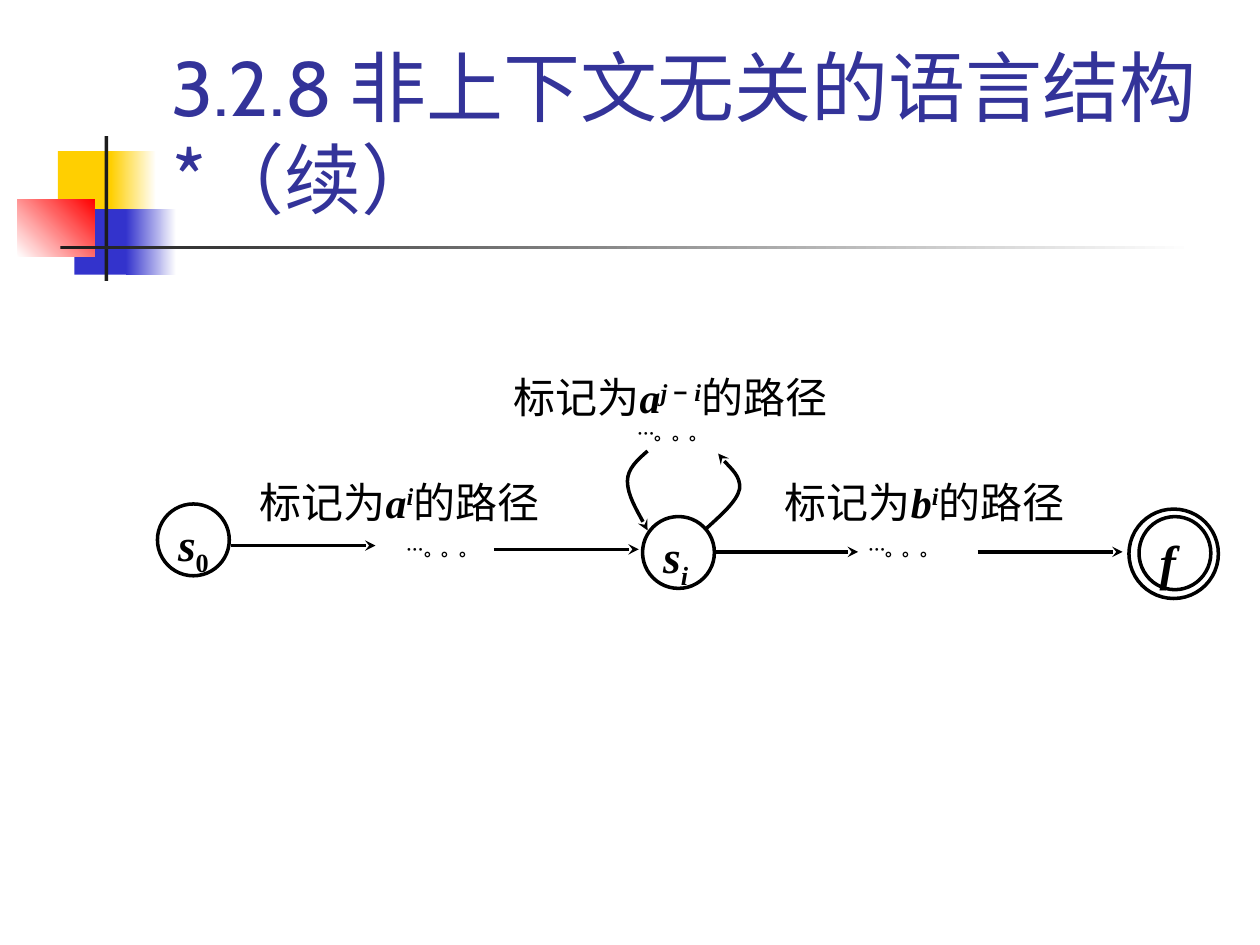
"""Slide: a pumped path through an automaton, s0 to si to f."""
from lxml.etree import SubElement
from pptx import Presentation
from pptx.dml.color import RGBColor
from pptx.enum.shapes import MSO_CONNECTOR, MSO_SHAPE
from pptx.enum.text import MSO_ANCHOR, PP_ALIGN
from pptx.oxml.ns import qn
from pptx.util import Inches, Pt

BLACK = RGBColor(0x00, 0x00, 0x00)
WHITE = RGBColor(0xFF, 0xFF, 0xFF)
YELLOW = RGBColor(0xFF, 0xCF, 0x01)
BLUE = RGBColor(0x33, 0x33, 0xCC)
RED = RGBColor(0xFF, 0x00, 0x00)
DARK = RGBColor(0x1C, 0x1C, 0x1C)
NAVY = RGBColor(0x33, 0x33, 0x99)
SERIF, SANS, CJK, SYMBOL = "Times New Roman", "Cabin", "Noto Sans CJK SC", "Arial"

DECOR = [
    ((0.46, 1.2, 0.48, 0.52), (YELLOW,), 0),
    ((0.88, 1.2, 0.36, 0.52), (YELLOW, WHITE), 0),
    ((0.59, 1.66, 0.46, 0.52), (BLUE,), 0),
    ((1, 1.66, 0.4, 0.52), (BLUE, WHITE), 0),
    ((0.14, 1.58, 0.61, 0.46), (WHITE, RED), 45),
    ((0.83, 1.08, 0.03, 1.15), (DARK,), 0),
    ((0.48, 1.95, 9, 0.03), (DARK, WHITE), 0),
]
TITLE = [("3.2.8 ", SANS), ("非上下文无关的语言结构*（续）", CJK)]

PLAIN, VAR, SUP, SUB = {}, {"b": 1, "i": 1}, {"b": 1, "i": 1, "base": 30}, {"b": 1, "i": 1, "base": -25}
SUB_DIGIT = {"b": 1, "base": -25}
SUP_SIGN = {"b": 1, "base": 30, "font": SYMBOL}
STATE_INSETS, FINAL_INSETS = (0.08, 0.01, 0.02, 0.05), (0.08, 0.03, 0.02, 0.02)
LABEL_INSETS = (0.06, 0.03, 0.06, 0.03)
STATES = [
    ((1.25, 4, 0.57, 0.57), [("s", VAR), ("0", SUB_DIGIT)], 25.9, STATE_INSETS),
    ((5.1, 4.1, 0.57, 0.57), [("s", VAR), ("i", SUB)], 25.9, STATE_INSETS),
    ((8.96, 4.04, 0.71, 0.71), [], 28, FINAL_INSETS),
    ((9.04, 4.1, 0.57, 0.58), [("f", VAR)], 28, FINAL_INSETS),
]
PATH_LABELS = [
    ((2, 3.75, 2.52, 0.54), [("a", VAR), ("i", SUP)], PP_ALIGN.JUSTIFY),
    ((6.17, 3.75, 2.56, 0.54), [("b", VAR), ("i", SUP)], PP_ALIGN.JUSTIFY),
    ((3.92, 2.92, 2.8, 0.55), [("a", VAR), ("j ", SUP), ("− ", SUP_SIGN), ("i", SUP)], PP_ALIGN.CENTER),
]
ELLIPSES = [(3.17, 4.25), (5, 3.33), (6.83, 4.25)]
ARROWS = [(1.83, 4.33), (3.92, 4.36), (5.66, 4.38), (7.76, 4.38)]
ARROW_LENGTH = 1.15
LOOPS = [
    [(5.14, 3.58), (5.06, 3.65), (4.98, 3.72), (4.98, 3.82), (4.98, 3.93), (5.11, 4.15), (5.14, 4.21)],
    [(5.6, 4.2), (5.72, 4.09), (5.85, 3.98), (5.87, 3.88), (5.88, 3.78), (5.74, 3.66), (5.7, 3.6)],
]


def inches(values):
    return [Inches(v) for v in values]


def outline(sp, arrow=False):
    sp.line.color.rgb = BLACK
    sp.line.width = Pt(2)
    if arrow:
        SubElement(sp.line._get_or_add_ln(), qn("a:tailEnd"), type="stealth")


def write(sp, runs, size, insets, align=PP_ALIGN.LEFT):
    tf = sp.text_frame
    tf.word_wrap = True
    tf.vertical_anchor = MSO_ANCHOR.TOP
    tf.margin_left, tf.margin_top, tf.margin_right, tf.margin_bottom = inches(insets)
    p = tf.paragraphs[0]
    p.alignment = align
    p.font.size = Pt(size)
    p.font.color.rgb = BLACK
    for text, style in runs:
        r = p.add_run()
        r.text = text
        r.font.name = style.get("font", SERIF)
        r.font.size = Pt(size)
        r.font.color.rgb = BLACK
        r.font.bold = bool(style.get("b"))
        r.font.italic = bool(style.get("i"))
        if "base" in style:
            r.font._element.set("baseline", str(style["base"] * 1000))


def add_decor(s):
    for box, colors, angle in DECOR:
        sp = s.shapes.add_shape(MSO_SHAPE.RECTANGLE, *inches(box))
        sp.shadow.inherit = False
        sp.line.fill.background()
        if len(colors) == 1:
            sp.fill.solid()
            sp.fill.fore_color.rgb = colors[0]
        else:
            sp.fill.gradient()
            sp.fill.gradient_angle = angle
            for stop, color in zip(sp.fill.gradient_stops, colors):
                stop.color.rgb = color


def add_title(s):
    tf = s.shapes.add_textbox(*inches((1.26, 0.23, 8.52, 1.6))).text_frame
    tf.word_wrap = True
    tf.vertical_anchor = MSO_ANCHOR.BOTTOM
    p = tf.paragraphs[0]
    for text, font in TITLE:
        r = p.add_run()
        r.text = text
        r.font.size = Pt(44)
        r.font.color.rgb = NAVY
        r.font.name = font
        SubElement(r.font._element, qn("a:ea"), typeface=CJK)


def add_loop(s, points):
    start, *rest = [inches(point) for point in points]
    builder = s.shapes.build_freeform(*start)
    builder.add_line_segments(rest, close=False)
    sp = builder.convert_to_shape()
    curve = next(sp._element.iter(qn("a:path")))
    segments = curve.findall(qn("a:lnTo"))
    for i in range(0, len(segments), 3):
        bezier = SubElement(curve, qn("a:cubicBezTo"))
        for segment in segments[i:i + 3]:
            bezier.append(segment[0])
            curve.remove(segment)
    sp.shadow.inherit = False
    sp.fill.background()
    outline(sp, arrow=True)


def add_automaton(s):
    for box, runs, size, insets in STATES:
        sp = s.shapes.add_shape(MSO_SHAPE.OVAL, *inches(box))
        sp.shadow.inherit = False
        sp.fill.background()
        outline(sp)
        write(sp, runs, size, insets)
    for x, y in ARROWS:
        line = s.shapes.add_connector(MSO_CONNECTOR.STRAIGHT, *inches((x, y, x + ARROW_LENGTH, y)))
        outline(line, arrow=True)
        SubElement(line._element.spPr, qn("a:effectLst"))
    for points in LOOPS:
        add_loop(s, points)
    for box, symbol, align in PATH_LABELS:
        runs = [("标记为", PLAIN), *symbol, ("的路径", PLAIN)]
        write(s.shapes.add_textbox(*inches(box)), runs, 24, LABEL_INSETS, align)
    for x, y in ELLIPSES:
        sp = s.shapes.add_textbox(*inches((x, y, 0.73, 0.33)))
        write(sp, [("…。。。", {"b": 1})], 10, LABEL_INSETS, PP_ALIGN.JUSTIFY)


def main():
    prs = Presentation()
    prs.slide_width, prs.slide_height = Inches(10), Inches(7.5)
    s = prs.slides.add_slide(prs.slide_layouts[6])
    add_decor(s)
    add_title(s)
    add_automaton(s)
    prs.save("out.pptx")


if __name__ == "__main__":
    main()
